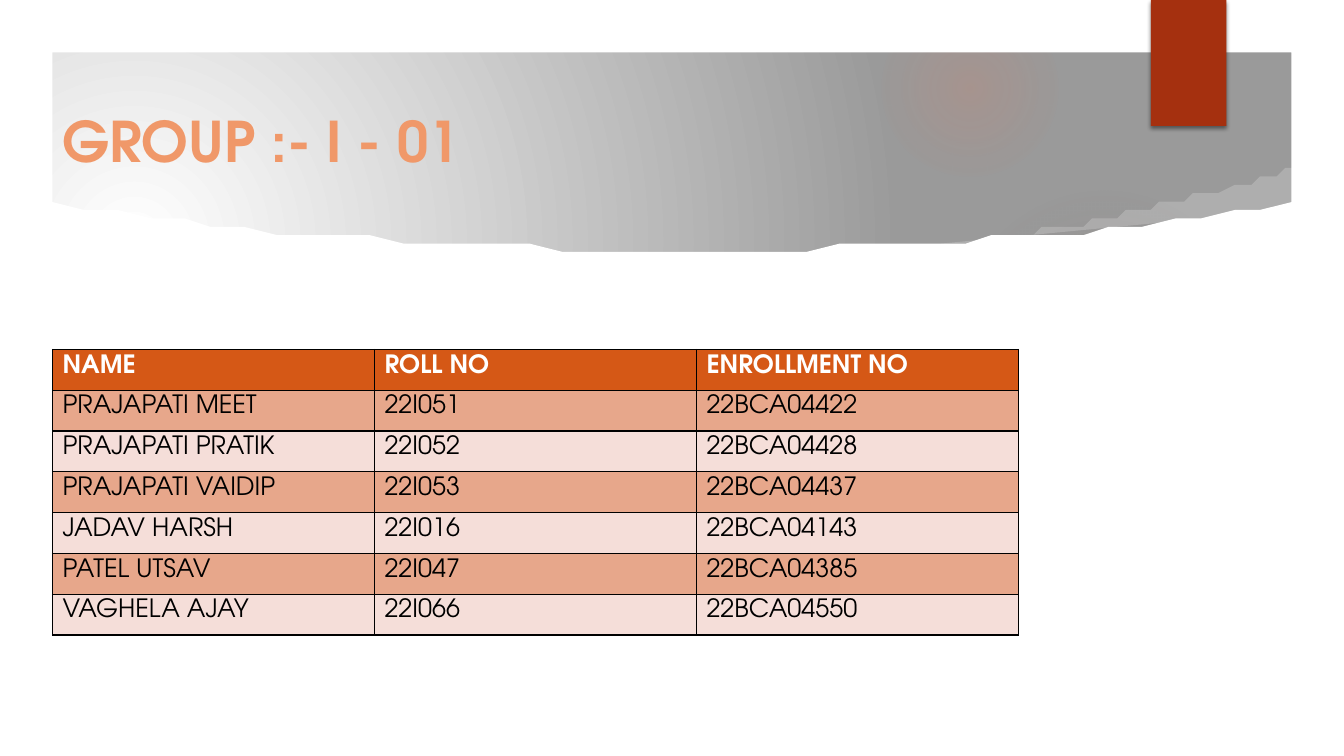
from dataclasses import dataclass
from lxml.etree import SubElement
from pptx import Presentation
from pptx.dml.color import RGBColor
from pptx.enum.shapes import MSO_SHAPE as Preset
from pptx.enum.text import MSO_ANCHOR as Anchor, MSO_AUTO_SIZE as AutoSize, PP_ALIGN as Align
from pptx.oxml.ns import qn
from pptx.util import Emu, Inches, Pt

COLUMNS, ROWS = 160, 90
UNIT = Inches(1 / 12)
MARGIN = 6.25
CONTENT_WIDTH = 115


@dataclass(frozen=True)
class Theme:
    font: str = "TeX Gyre Adventor"
    title_size: int = 40
    table_size: int = 18
    title: str = "F09869"
    header: str = "D55816"
    odd_row: str = "E7A78B"
    even_row: str = "F5DED9"
    ribbon: str = "A5300F"
    warm_glow: str = "EE6E4A"
    brown_glow: str = "7F5F52"
    backdrop: str = "9A9A9A"
    white: str = "FFFFFF"
    black: str = "000000"


@dataclass(frozen=True)
class Box:
    left: float
    top: float
    width: float
    height: float

    def emu(self):
        return [grid(side) for side in (self.left, self.top, self.width, self.height)]


THEME = Theme()
MEMBERS = [
    ("NAME", "ROLL NO", "ENROLLMENT NO"),
    ("PRAJAPATI MEET", "22I051", "22BCA04422"),
    ("PRAJAPATI PRATIK", "22I052", "22BCA04428"),
    ("PRAJAPATI VAIDIP", "22I053", "22BCA04437"),
    ("JADAV HARSH", "22I016", "22BCA04143"),
    ("PATEL UTSAV", "22I047", "22BCA04385"),
    ("VAGHELA AJAY", "22I066", "22BCA04550"),
]


def grid(cells):
    return Emu(round(cells * UNIT))


def rgb(color):
    return RGBColor.from_string(color)


def add_color(parent, color, alpha=100):
    tone = SubElement(parent, qn("a:srgbClr"), val=color)
    if alpha < 100:
        SubElement(tone, qn("a:alpha"), val=str(alpha * 1000))


def radial_fill(owner, fill, stops, focus):
    fill.gradient()
    gradient = owner.find(".//" + qn("a:gradFill"))
    for child in list(gradient):
        gradient.remove(child)
    stop_list = SubElement(gradient, qn("a:gsLst"))
    for position, color, alpha in stops:
        add_color(SubElement(stop_list, qn("a:gs"), pos=str(position * 1000)), color, alpha)
    circle = SubElement(gradient, qn("a:path"), path="circle")
    edges = {side: str(share * 1000) for side, share in zip("ltrb", focus)}
    SubElement(circle, qn("a:fillToRect"), **edges)


def plain(shape, color, alpha=100):
    shape.shadow.inherit = False
    shape.line.fill.background()
    shape.fill.solid()
    shape.fill.fore_color.rgb = rgb(color)
    if alpha < 100:
        tone = shape.element.spPr.find(".//" + qn("a:srgbClr"))
        SubElement(tone, qn("a:alpha"), val=str(alpha * 1000))
    return shape


def curve(start, control, end, steps=40):
    shares = [step / steps for step in range(steps + 1)]
    return [
        tuple((1 - t) ** 2 * a + 2 * t * (1 - t) * b + t * t * c
              for a, b, c in zip(start, control, end))
        for t in shares
    ]


def add_outline(slide, points, color, alpha=100):
    first, *rest = points
    builder = slide.shapes.build_freeform(*first, scale=float(UNIT))
    builder.add_line_segments(rest, close=True)
    return plain(builder.convert_to_shape(), color, alpha)


def add_glow(slide, box, color, stops):
    glow = plain(slide.shapes.add_shape(Preset.OVAL, *box.emu()), color)
    shades = [(position, color, alpha) for position, alpha in stops]
    radial_fill(glow.element, glow.fill, shades, (50, 50, 50, 50))


def add_banner(slide, box):
    radial_fill(slide.element, slide.background.fill,
                [(0, THEME.white, 100), (100, THEME.backdrop, 100)], (45, 65, 125, 100))
    add_glow(slide, Box(113, 22, 37, 37), THEME.brown_glow, [(0, 7), (36, 6), (69, 0)])
    add_glow(slide, Box(105, 0, 21, 21), THEME.warm_glow, [(0, 14), (36, 7), (73, 0)])
    right, bottom = box.left + box.width, box.top + box.height
    swoosh = curve((111.6, 29.2), (133.2, 26.9), (right, 19.9))
    add_outline(slide, swoosh + [(right, 25)], THEME.white, 20)
    valley = curve((box.left, 24.5), (83.4, 35), (right, 24.5))
    add_outline(slide, valley + [(right, bottom), (box.left, bottom)], THEME.white)
    border = slide.shapes.add_shape(Preset.FRAME, *Box(0, 0, COLUMNS, ROWS).emu())
    border.adjustments[0] = MARGIN / ROWS
    plain(border, THEME.white)


def add_ribbon(slide, box):
    ribbon = plain(slide.shapes.add_shape(Preset.RECTANGLE, *box.emu()), THEME.ribbon)
    effects = ribbon.element.spPr.find(qn("a:effectLst"))
    shadow = SubElement(effects, qn("a:outerShdw"), blurRad=str(Pt(3)), dist=str(Pt(2)),
                        dir="5400000", rotWithShape="0")
    add_color(shadow, THEME.black, 45)


def style_text(paragraph, size, color, bold):
    font = paragraph.font
    font.name, font.size, font.bold = THEME.font, Pt(size), bold
    font.color.rgb = rgb(color)


def add_title(slide, box, wording):
    title = slide.shapes.title
    title.left, title.top, title.width, title.height = box.emu()
    frame = title.text_frame
    frame.text = wording
    frame.word_wrap = True
    frame.auto_size = AutoSize.NONE
    frame.vertical_anchor = Anchor.MIDDLE
    heading = frame.paragraphs[0]
    heading.alignment = Align.LEFT
    style_text(heading, THEME.title_size, THEME.title, True)
    title.element.getparent().append(title.element)


def add_borders(cell):
    properties = cell._tc.get_or_add_tcPr()
    for index, side in enumerate(("lnL", "lnR", "lnT", "lnB")):
        edge = SubElement(properties, qn("a:" + side), w=str(Pt(1)))
        add_color(SubElement(edge, qn("a:solidFill")), THEME.black)
        properties.insert(index, edge)


def add_members(slide, box, members):
    table = slide.shapes.add_table(len(members), len(members[0]), *box.emu()).table
    for column in table.columns:
        column.width = grid(box.width / len(members[0]))
    for row_index, member in enumerate(members):
        table.rows[row_index].height = grid(box.height / len(members))
        is_header = row_index == 0
        band = THEME.odd_row if row_index % 2 else THEME.even_row
        for column_index, entry in enumerate(member):
            cell = table.cell(row_index, column_index)
            cell.text = entry
            cell.fill.solid()
            cell.fill.fore_color.rgb = rgb(THEME.header if is_header else band)
            style_text(cell.text_frame.paragraphs[0], THEME.table_size,
                       THEME.white if is_header else THEME.black, is_header)
            add_borders(cell)


def main():
    deck = Presentation()
    deck.slide_width, deck.slide_height = grid(COLUMNS), grid(ROWS)
    slide = deck.slides.add_slide(deck.slide_layouts[5])
    add_banner(slide, Box(MARGIN, MARGIN, COLUMNS - 2 * MARGIN, ROWS - 2 * MARGIN))
    add_ribbon(slide, Box(137, 0, 9, 15))
    add_title(slide, Box(MARGIN, 11.9, CONTENT_WIDTH, 9.6), "GROUP :- I - 01")
    add_members(slide, Box(MARGIN, 41.6, CONTENT_WIDTH, 34), MEMBERS)
    deck.save("out.pptx")


if __name__ == "__main__":
    main()
